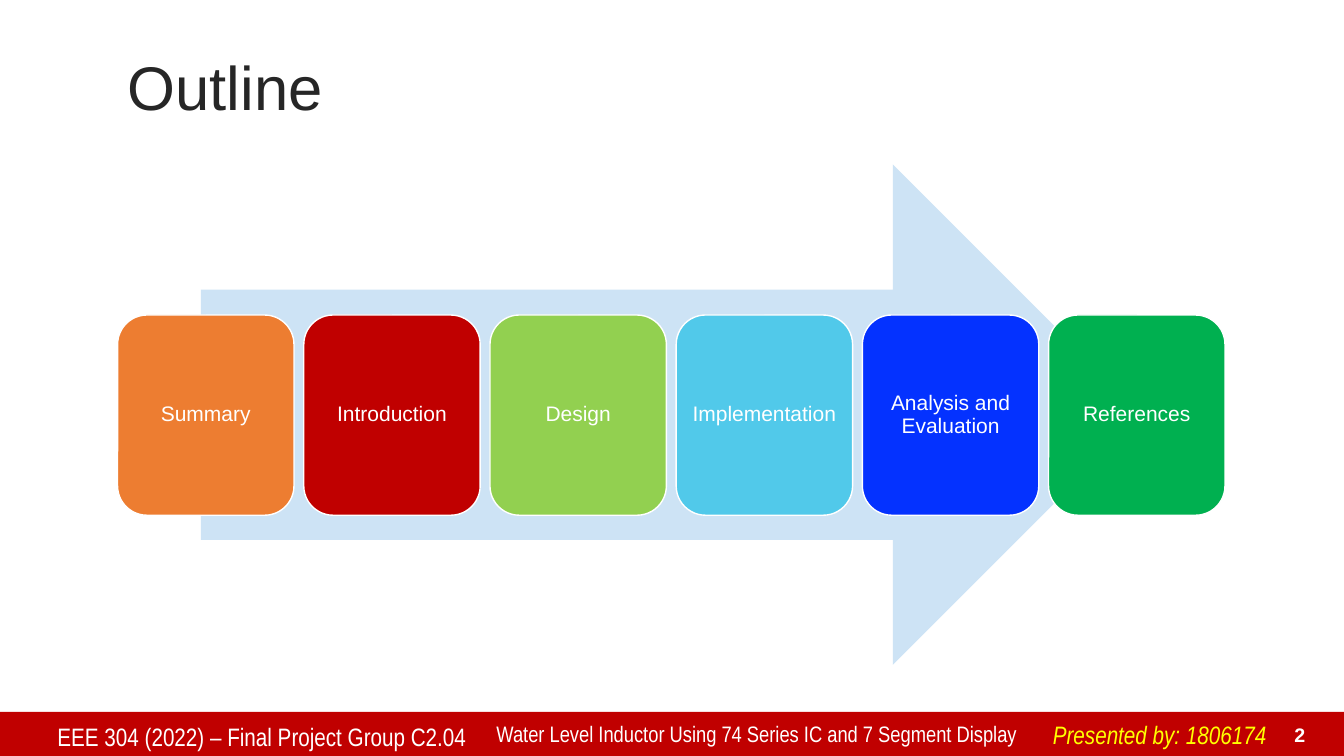
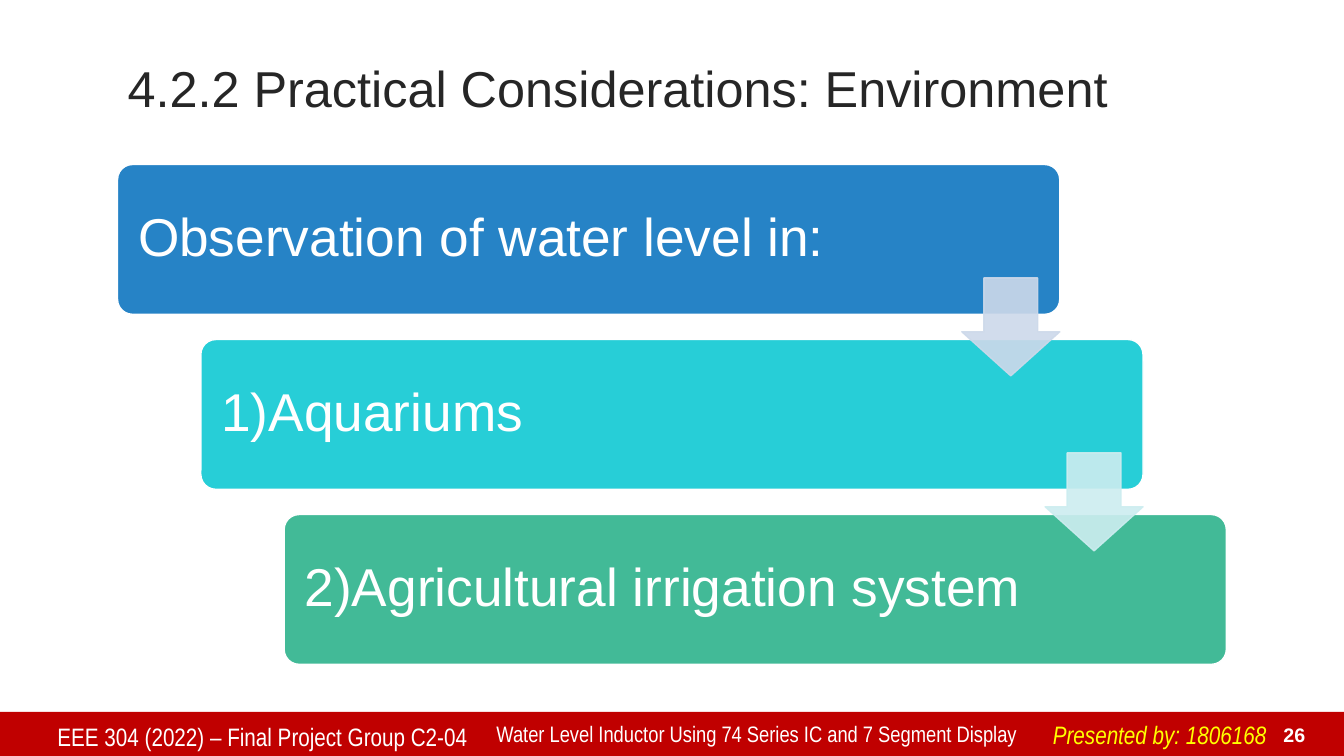
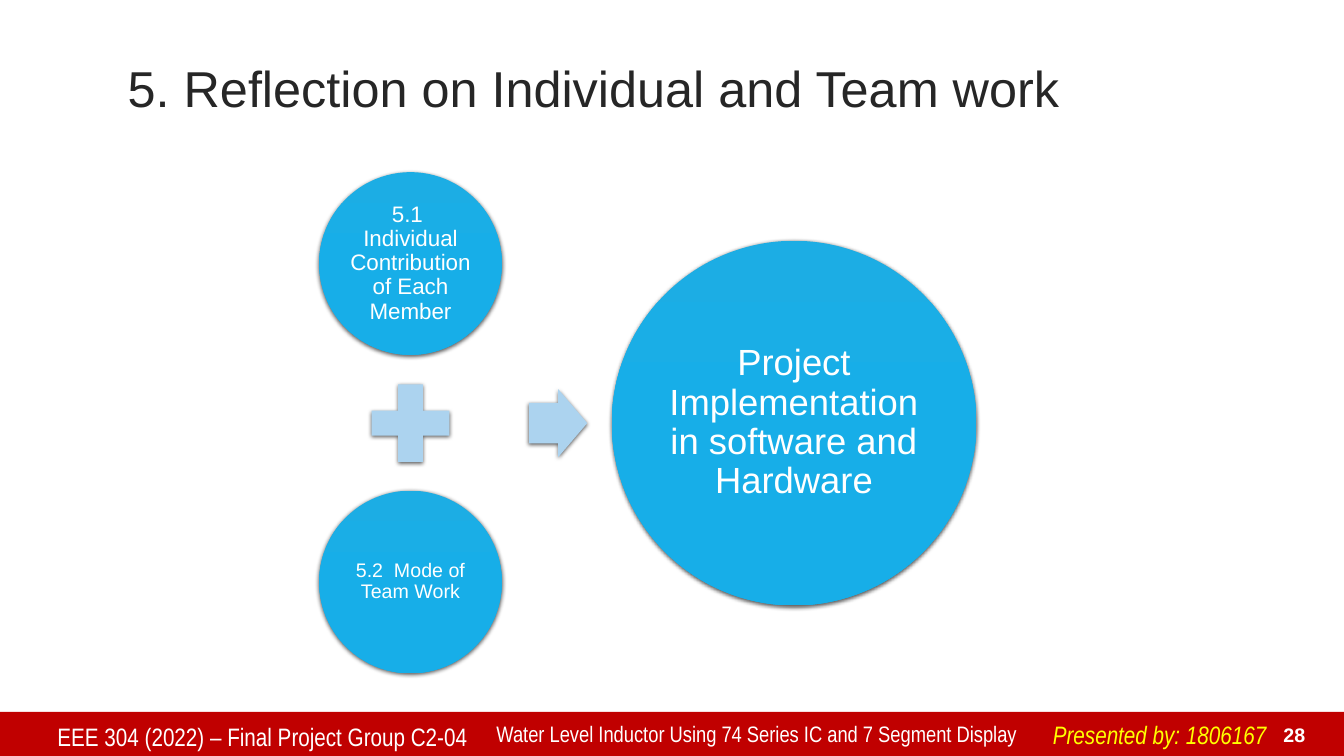
"""Build three project slides: outline, environment steps and team work."""
from dataclasses import dataclass

from lxml import etree
from pptx import Presentation
from pptx import util as u
from pptx.dml import color
from pptx.enum import shapes, text
from pptx.oxml import ns

Pt = u.Pt
MSO = shapes.MSO_SHAPE
ALIGN = text.PP_ALIGN
ANCHOR = text.MSO_ANCHOR

WHITE, RED, YELLOW, INK = "FFFFFF", "C00000", "FFFF00", "262626"
PALE_BLUE, PLUS_BLUE = "CDE3F5", "ACD3EF"
CIRCLE_TOP, CIRCLE_BOTTOM = "1CADE4", "17AEE8"
BODY_FONT, FOOTER_FONT = "Arial", "Arial Narrow"
LEFT = 84
TITLE_ONLY = 5


@dataclass(frozen=True)
class Page:
    """Title and footer wording of one slide."""
    title: str
    title_size: float
    number: str
    group: str
    presenter: str


@dataclass(frozen=True)
class Box:
    """Position and size in points."""
    left: float
    top: float
    width: float
    height: float

    def lengths(self):
        """Return the four lengths as Pt values."""
        return [Pt(v) for v in (self.left, self.top, self.width, self.height)]


@dataclass(frozen=True)
class Block:
    """Label and fill colour of a filled block."""
    label: str
    fill: str


@dataclass(frozen=True)
class Circle:
    """Label, text size, inset and square bounds of a circle."""
    label: str
    size: float
    inset: float
    left: float
    top: float
    diameter: float


def rgb(value: str) -> color.RGBColor:
    """Turn a hex string into a colour."""
    return color.RGBColor.from_string(value)


def write(tf, content: str, *, size: float, font: str = BODY_FONT, fill: str = WHITE,
          bold: bool = False, italic: bool = False, align=ALIGN.LEFT, anchor=ANCHOR.TOP,
          spacing: float = 1.0, inset: float | None = None, wrap: bool = True) -> None:
    """Write one formatted paragraph into a text frame."""
    tf.auto_size = text.MSO_AUTO_SIZE.NONE
    tf.word_wrap = wrap
    tf.vertical_anchor = anchor
    if inset is not None:
        tf.margin_left = tf.margin_right = tf.margin_top = tf.margin_bottom = Pt(inset)
    p = tf.paragraphs[0]
    p.alignment, p.line_spacing = align, spacing
    r = p.add_run()
    r.text = content
    r.font.name, r.font.size = font, Pt(size)
    r.font.bold, r.font.italic = bold, italic
    r.font.color.rgb = rgb(fill)


def add_text(s, box: Box, content: str, **style) -> None:
    """Add a text box."""
    write(s.shapes.add_textbox(*box.lengths()).text_frame, content, **style)


def add_shape(s, kind, box: Box, fill: str, line: str | None = None, adjust: tuple = ()):
    """Add a solid preset shape without shadow."""
    sp = s.shapes.add_shape(kind, *box.lengths())
    sp.shadow.inherit = False
    sp.fill.solid()
    sp.fill.fore_color.rgb = rgb(fill)
    if line:
        sp.line.color.rgb = rgb(line)
        sp.line.width = Pt(1)
    else:
        sp.line.fill.background()
    for i, value in enumerate(adjust):
        sp.adjustments[i] = value
    return sp


def set_alpha(sp, percent: int) -> None:
    """Make the fill and line of a shape partly transparent."""
    for clr in sp._element.spPr.iter(ns.qn("a:srgbClr")):
        etree.SubElement(clr, ns.qn("a:alpha"), val=str(percent * 1000))


def add_shadow(sp) -> None:
    """Give a shape a soft shadow below."""
    effects = sp._element.spPr.find(ns.qn("a:effectLst"))
    outer = etree.SubElement(effects, ns.qn("a:outerShdw"), blurRad=str(Pt(3)),
                             dist=str(Pt(1)), dir="5400000", rotWithShape="0")
    clr = etree.SubElement(outer, ns.qn("a:srgbClr"), val="000000")
    etree.SubElement(clr, ns.qn("a:alpha"), val="63000")


def add_circle(s, circle: Circle) -> None:
    """Add a labelled gradient circle."""
    box = Box(circle.left, circle.top, circle.diameter, circle.diameter)
    sp = add_shape(s, MSO.OVAL, box, CIRCLE_TOP)
    sp.fill.gradient()
    sp.fill.gradient_angle = 270
    for stop, (value, position) in zip(sp.fill.gradient_stops,
                                       ((CIRCLE_TOP, 0), (CIRCLE_BOTTOM, 0.5))):
        stop.color.rgb = rgb(value)
        stop.position = position
    add_shadow(sp)
    write(sp.text_frame, circle.label, size=circle.size, align=ALIGN.CENTER,
          anchor=ANCHOR.MIDDLE, spacing=0.9, inset=circle.inset)


def new_slide(prs, page: Page):
    """Add a slide with the shared title style and footer band."""
    s = prs.slides.add_slide(prs.slide_layouts[TITLE_ONLY])
    title = s.shapes.title
    title.left, title.top, title.width, title.height = Box(LEFT, 36, 792, 57.6).lengths()
    write(title.text_frame, page.title, size=page.title_size, fill=INK,
          anchor=ANCHOR.MIDDLE, spacing=0.9)
    add_shape(s, MSO.RECTANGLE, Box(0, 508.5, 960, 31.5), RED)
    add_text(s, Box(898.5, 512, 41, 24.5), page.number, size=14, bold=True,
             align=ALIGN.RIGHT, anchor=ANCHOR.BOTTOM)
    add_text(s, Box(34, 512, 321, 28), f"EEE 304 (2022) – Final Project Group {page.group}",
             size=18, font=FOOTER_FONT)
    add_text(s, Box(347.5, 510.5, 397.5, 26),
             "Water Level Inductor Using 74 Series IC and 7 Segment Display",
             size=16, font=FOOTER_FONT)
    add_text(s, Box(745, 510, 169, 29), f"Presented by: {page.presenter}", size=18,
             font=FOOTER_FONT, fill=YELLOW, italic=True, wrap=False)
    return s


def outline_slide(prs) -> None:
    """Draw the outline as blocks along an arrow."""
    s = new_slide(prs, Page("Outline", 44, "2", "C2.04", "1806174"))
    add_shape(s, MSO.RIGHT_ARROW, Box(143.5, 117.5, 673, 357.5), PALE_BLUE)
    blocks = (Block("Summary", "ED7D31"), Block("Introduction", RED),
              Block("Design", "92D050"), Block("Implementation", "51C9EA"),
              Block("Analysis and Evaluation", "0432FF"), Block("References", "00B050"))
    width, gap = 126, 7
    for i, block in enumerate(blocks):
        box = Box(LEFT + i * (width + gap), 225, width, 143)
        sp = add_shape(s, MSO.ROUNDED_RECTANGLE, box, block.fill, WHITE)
        write(sp.text_frame, block.label, size=15, align=ALIGN.CENTER,
              anchor=ANCHOR.MIDDLE, spacing=0.9, inset=4.5)


def environment_slide(prs) -> None:
    """Draw three descending steps joined by arrows."""
    s = new_slide(prs, Page("4.2.2 Practical Considerations: Environment", 36, "26",
                            "C2-04", "1806168"))
    steps = (Block("Observation of water level in:", "2683C6"),
             Block("1)Aquariums", "27CED7"),
             Block("2)Agricultural irrigation system", "42BA97"))
    boxes = [Box(LEFT + i * 59.5, 117.5 + i * 125, 673, 107) for i in range(len(steps))]
    for step, box in zip(steps, boxes):
        sp = add_shape(s, MSO.ROUNDED_RECTANGLE, box, step.fill, WHITE, (0.1,))
        write(sp.text_frame, step.label, size=38, anchor=ANCHOR.MIDDLE, spacing=0.9,
              inset=11.5)
    side = 70
    for box, fill in zip(boxes, ("CDD9EA", "CDEDF0")):
        arrow = Box(box.left + box.width - side, box.top + 81, side, side)
        set_alpha(add_shape(s, MSO.DOWN_ARROW, arrow, fill, fill, (0.55, 0.45)), 90)


def team_slide(prs) -> None:
    """Draw two circles adding up to a large one."""
    s = new_slide(prs, Page("5. Reflection on Individual and Team work", 36, "28",
                            "C2-04", "1806167"))
    for circle in (
            Circle("5.1  Individual Contribution of Each Member", 16, 1.5, 228, 123, 130.5),
            Circle("5.2  Mode of Team Work", 14, 1.5, 228, 350.5, 130.5),
            Circle("Project Implementation in software and Hardware", 26, 3, 437, 172, 260.5)):
        add_circle(s, circle)
    add_shadow(add_shape(s, MSO.MATH_PLUS, Box(255.5, 264.5, 75.5, 75.5), PLUS_BLUE))
    add_shadow(add_shape(s, MSO.RIGHT_ARROW, Box(378, 278, 41.5, 48.5), PLUS_BLUE,
                         adjust=(0.6, 0.5)))


def main() -> None:
    """Build and save the presentation."""
    prs = Presentation()
    prs.slide_width, prs.slide_height = Pt(960), Pt(540)
    outline_slide(prs)
    environment_slide(prs)
    team_slide(prs)
    prs.save("out.pptx")


if __name__ == "__main__":
    main()
